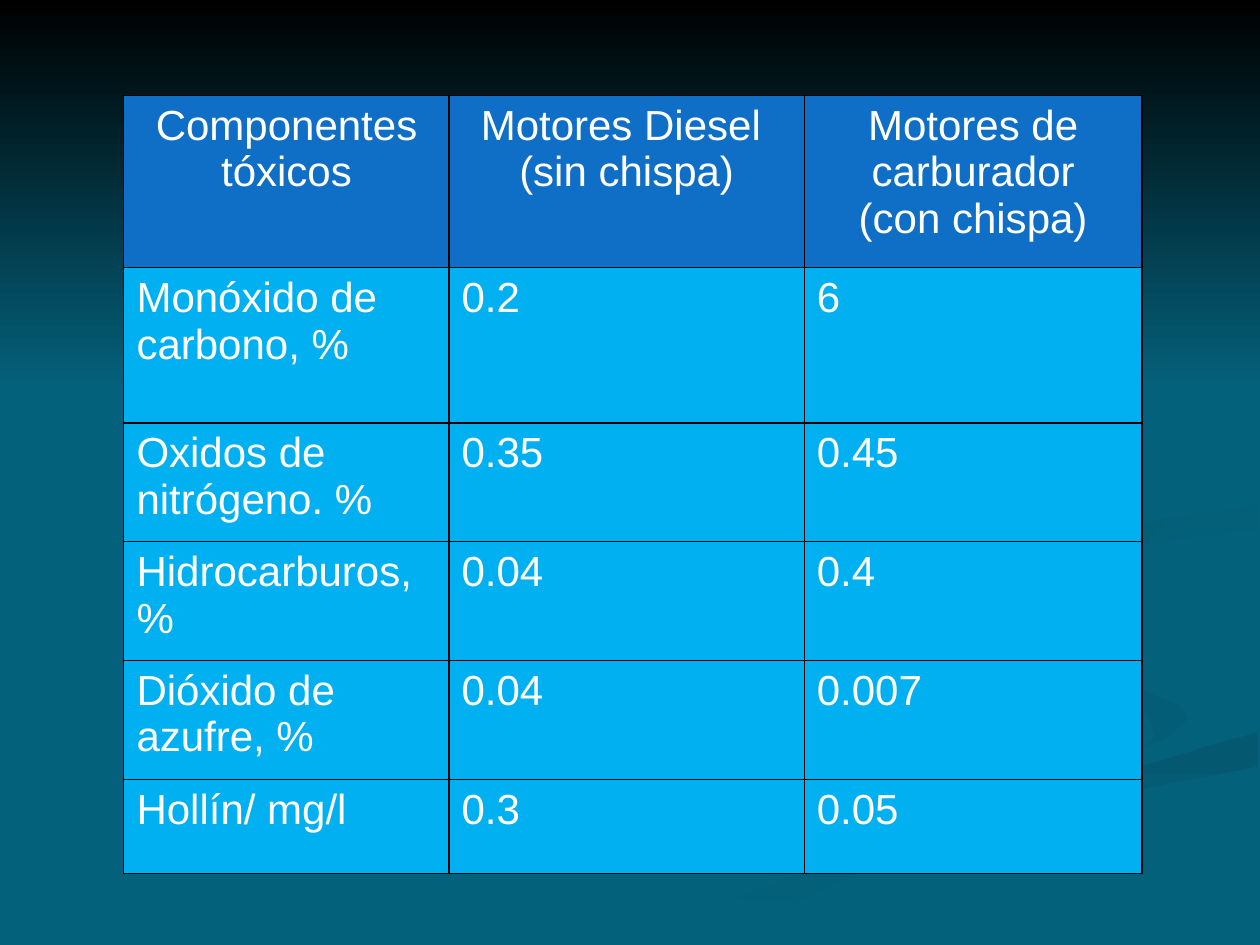
from lxml.etree import SubElement
from pptx import Presentation
from pptx.dml.color import RGBColor
from pptx.enum.shapes import MSO_SHAPE
from pptx.enum.text import PP_ALIGN
from pptx.oxml.ns import qn
from pptx.util import Pt

BASE = "04617B"
HEADER_FILL = "0F6FC6"
BODY_FILL = "00B0F0"
SLIDE_WIDTH, SLIDE_HEIGHT = 720, 540

# Each ribbon: fill colours, clockwise angle, and two curved edges between its tips
RIBBONS = [
    ((BASE, "045D76"), 0,
     [(414, 330), (434, 353), (545, 391), (576, 418), (449, 466), (260, 539)],
     [(216, 539), (359, 476), (546, 425), (559, 398), (418, 348), (414, 330)]),
    ((BASE, "045D76"), 45,
     [(521, 334), (557, 362), (662, 394), (679, 410), (644, 436)],
     [(660, 421), (642, 398), (544, 364), (521, 334)]),
    (("045971", BASE), 90,
     [(362, 539), (454, 499), (624, 446), (719, 418)],
     [(719, 438), (541, 477), (411, 539)]),
    ((BASE,), 0,
     [(719, 279), (582, 300), (522, 334), (585, 370), (679, 410), (585, 450),
      (343, 539)],
     [(363, 539), (501, 482), (719, 418)],
     [(719, 387), (611, 362), (563, 335), (612, 307), (719, 289)]),
    (("045C74", BASE), 45,
     [(719, 289), (623, 305), (563, 331), (595, 357)],
     [(580, 343), (632, 316), (719, 302)]),
    (("045A72", BASE), 45,
     [(549, 168), (622, 210), (644, 248), (594, 289), (468, 314), (427, 338),
      (448, 360)],
     [(415, 333), (467, 302), (606, 272), (635, 225), (549, 168)]),
]

COLUMN_WIDTHS = [185.8, 203, 193]
ROW_HEIGHTS = [98.4, 88.6, 68, 68, 68, 53.3]
ROWS = [
    ["Componentes tóxicos", "Motores Diesel \n(sin chispa)",
     "Motores de carburador\n(con chispa)"],
    ["Monóxido de carbono, %", "0.2", "6"],
    ["Oxidos de nitrógeno. %", "0.35", "0.45"],
    ["Hidrocarburos, %", "0.04", "0.4"],
    ["Dióxido de azufre, %", "0.04", "0.007"],
    ["Hollín/ mg/l", "0.3", "0.05"],
]


def color(value):
    return RGBColor.from_string(value)


def paint(shape, colors, angle=0):
    """Fill a shape with one colour or a two-colour gradient, without outline."""
    shape.shadow.inherit = False
    shape.line.fill.background()
    if len(colors) == 1:
        shape.fill.solid()
        shape.fill.fore_color.rgb = color(colors[0])
        return
    shape.fill.gradient()
    shape.fill.gradient_angle = -angle % 360
    for stop, value in zip(shape.fill.gradient_stops, colors):
        stop.color.rgb = color(value)


def smooth_edge(knots, steps=6):
    """Pass a Catmull-Rom curve through the knots, kept inside the slide."""
    padded = [knots[0], *knots, knots[-1]]
    points = [knots[0]]
    for a, b, c, d in zip(padded, padded[1:], padded[2:], padded[3:]):
        for step in range(1, steps + 1):
            t = step / steps
            x, y = (
                q + t * (r - p + t * (2 * p - 5 * q + 4 * r - s
                                      + t * (3 * (q - r) + s - p))) / 2
                for p, q, r, s in zip(a, b, c, d))
            points.append((min(x, SLIDE_WIDTH), min(y, SLIDE_HEIGHT)))
    return points


def add_ribbon(slide, colors, angle, *edges):
    points = [point for edge in edges for point in smooth_edge(edge)]
    builder = slide.shapes.build_freeform(*points[0], scale=Pt(1))
    builder.add_line_segments(points[1:], close=True)
    paint(builder.convert_to_shape(), colors, angle)


def write_text(frame, text, size=24, font="Arial", fill="FFFFFF",
               align=PP_ALIGN.LEFT):
    frame.text = text
    for paragraph in frame.paragraphs:
        paragraph.alignment = align
        for run in paragraph.runs:
            run.font.size = Pt(size)
            run.font.name = font
            run.font.color.rgb = color(fill)


def set_borders(cell, value="000000", width=0.75):
    properties = cell._tc.get_or_add_tcPr()
    for position, side in enumerate(("a:lnL", "a:lnR", "a:lnT", "a:lnB")):
        line = SubElement(properties, qn(side), w=str(Pt(width)))
        SubElement(SubElement(line, qn("a:solidFill")), qn("a:srgbClr"), val=value)
        properties.insert(position, line)  # borders precede the cell fill


def add_data_table(slide, left, top):
    table = slide.shapes.add_table(
        len(ROWS), len(COLUMN_WIDTHS), Pt(left), Pt(top),
        Pt(sum(COLUMN_WIDTHS)), Pt(sum(ROW_HEIGHTS))).table
    table.horz_banding = False
    for column, width in zip(table.columns, COLUMN_WIDTHS):
        column.width = Pt(width)
    for row_index, (row, height) in enumerate(zip(table.rows, ROW_HEIGHTS)):
        row.height = Pt(height)
        is_header = row_index == 0
        for cell, text in zip(row.cells, ROWS[row_index]):
            cell.fill.solid()
            cell.fill.fore_color.rgb = color(HEADER_FILL if is_header else BODY_FILL)
            write_text(cell.text_frame, text,
                       align=PP_ALIGN.CENTER if is_header else PP_ALIGN.LEFT)
            set_borders(cell)


def main():
    presentation = Presentation()
    presentation.slide_width = Pt(SLIDE_WIDTH)
    presentation.slide_height = Pt(SLIDE_HEIGHT)
    slide = presentation.slides.add_slide(presentation.slide_layouts[6])

    # Background with ribbons and a dark fade at the top
    slide.background.fill.solid()
    slide.background.fill.fore_color.rgb = color(BASE)
    for ribbon in RIBBONS:
        add_ribbon(slide, *ribbon)
    fade = slide.shapes.add_shape(
        MSO_SHAPE.RECTANGLE, Pt(0), Pt(0), Pt(SLIDE_WIDTH), Pt(222))
    paint(fade, ("000000", BASE), 90)

    # Emissions table
    add_data_table(slide, 70.8, 54.7)
    presentation.save("out.pptx")


if __name__ == "__main__":
    main()
